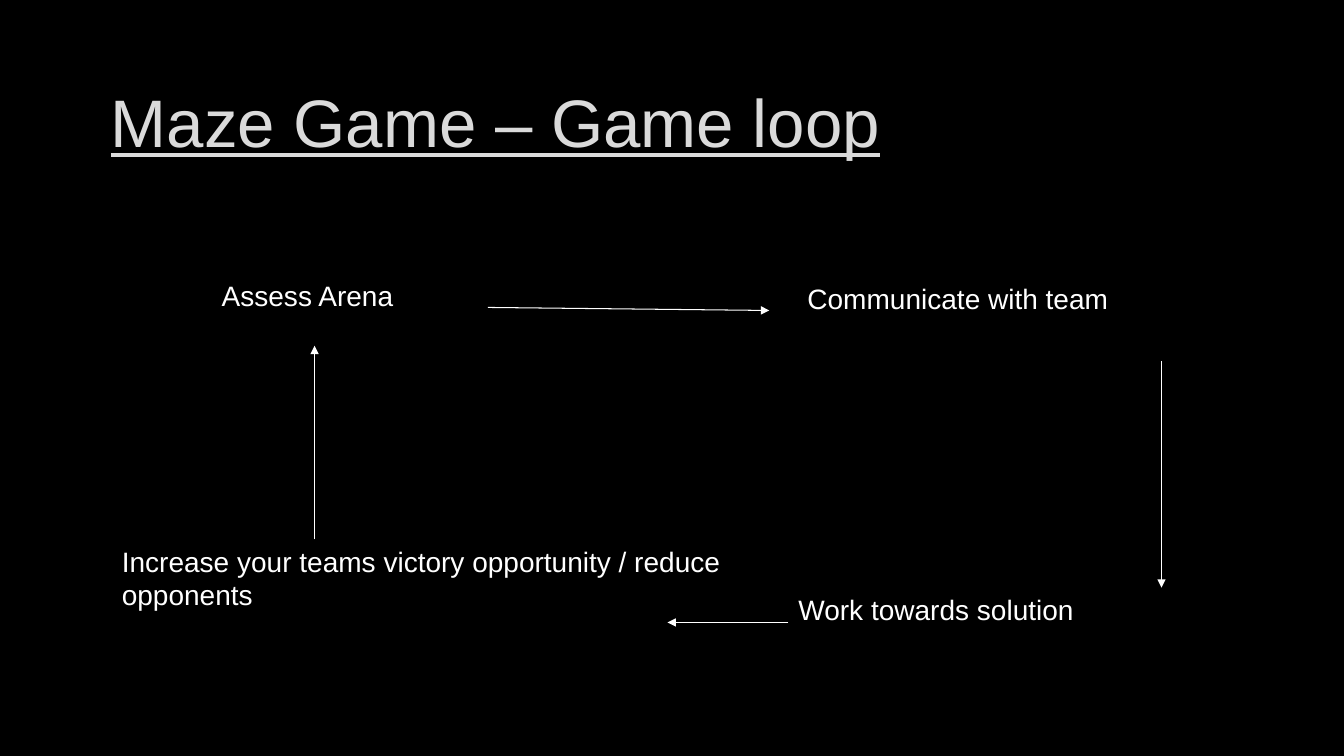
from lxml import etree
from pptx import Presentation
from pptx import util as u
from pptx.dml.color import RGBColor
from pptx.enum import shapes, text
from pptx.oxml.ns import qn

COLORS = {"background": "000000", "title": "DADADA", "body": "FFFFFF"}
FONT = "Arial"
CELL = u.Inches(1)

STEPS = {
    "assess": ("Assess Arena", (0.99, 0, 3.21, 0.69)),
    "communicate": ("Communicate with team", (6.8, 0.03, 4.3, 0.69)),
    "work": ("Work towards solution", (6.71, 3.12, 4.03, 0.69)),
    "increase": ("Increase your teams victory opportunity / reduce opponents",
                 (0, 2.64, 6.29, 1.22)),
}
ARROWS = [
    ((3.73, 0.34), (6.52, 0.37)),
    ((10.41, 0.87), (10.41, 3.12)),
    ((2.01, 2.64), (2.01, 0.72)),
]
RETURN_ARROW = ((6.71, 3.46), (5.51, 3.46))


def cells(*counts):
    """Turn counts of grid columns or rows into lengths."""
    return [int(n * CELL) for n in counts]


def add_text(s, box, words, size, color, anchor=text.MSO_ANCHOR.TOP, underline=None):
    """Place one run of text in a box given in grid cells."""
    sp = s.shapes.add_textbox(*cells(*box))
    tf = sp.text_frame
    tf.word_wrap = True
    tf.vertical_anchor = anchor
    r = tf.paragraphs[0].add_run()
    r.text = words
    r.font.name = FONT
    r.font.size = u.Pt(size)
    r.font.underline = underline
    r.font.color.rgb = RGBColor.from_string(COLORS[color])
    return sp


def add_arrow(s, origin, start, end):
    """Draw an arrow between two points measured from the origin."""
    points = [o + n for point in (start, end) for o, n in zip(origin, point)]
    c = s.shapes.add_connector(shapes.MSO_CONNECTOR.STRAIGHT, *cells(*points))
    c.line.color.rgb = RGBColor.from_string(COLORS["body"])
    c.line.width = u.Pt(0.75)
    etree.SubElement(c.line._get_or_add_ln(), qn("a:tailEnd"), type="triangle")
    etree.SubElement(c._element.spPr, qn("a:effectLst"))
    return c


def add_title(s, box):
    """Place the underlined slide title."""
    add_text(s, box, "Maze Game – Game loop", 48, "title",
             text.MSO_ANCHOR.MIDDLE, True)


def add_game_loop(s, origin):
    """Place the four steps and the arrows that link them in a loop."""
    left, top = origin
    steps = {
        name: add_text(s, (left + x, top + y, w, h), words, 20, "body")
        for name, (words, (x, y, w, h)) in STEPS.items()
    }
    for start, end in ARROWS:
        add_arrow(s, origin, start, end)
    back = add_arrow(s, origin, *RETURN_ARROW)
    back.begin_connect(steps["work"], 1)
    back.end_y = back.begin_y


def main():
    """Build and save the slide."""
    prs = Presentation()
    prs.slide_width, prs.slide_height = cells(13.33, 7.5)
    s = prs.slides.add_slide(prs.slide_layouts[6])
    fill = s.background.fill
    fill.solid()
    fill.fore_color.rgb = RGBColor.from_string(COLORS["background"])
    add_title(s, (1, 0.67, 11.32, 1.06))
    add_game_loop(s, (1.11, 2.71))
    prs.save("out.pptx")


if __name__ == "__main__":
    main()
